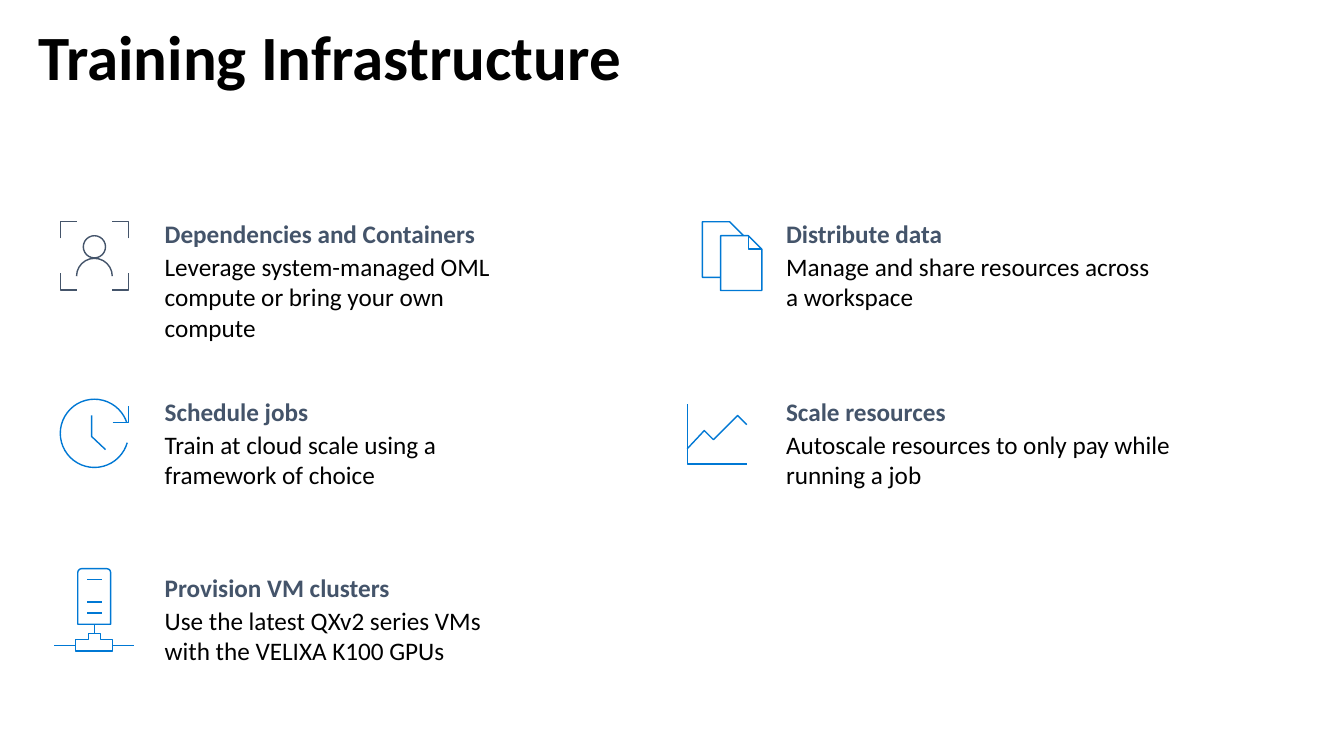
from math import cos, radians, sin

from pptx import Presentation
from pptx.dml.color import RGBColor
from pptx.enum.text import MSO_ANCHOR
from pptx.oxml.ns import qn
from pptx.oxml.xmlchemy import OxmlElement
from pptx.util import Cm, Pt

COLORS = {"black": "000000", "slate": "44546A", "blue": "0078D4"}
FONT = "Calibri"
TITLE = "Training Infrastructure"

COLUMNS = (3.9, 19.56)
ROWS = (5.38, 9.85, 14.29)
# column, row, width, height, heading, description
TOPICS = [
    (0, 0, 9.98, 3.63, "Dependencies and Containers",
     "Leverage system-managed OML compute or bring your own compute"),
    (0, 1, 9.78, 2.9, "Schedule jobs",
     "Train at cloud scale using a framework of choice"),
    (0, 2, 8.79, 2.9, "Provision VM clusters",
     "Use the latest QXv2 series VMs with the VELIXA K100 GPUs"),
    (1, 0, 10.77, 2.9, "Distribute data",
     "Manage and share resources across \va workspace"),
    (1, 1, 10.49, 2.9, "Scale resources",
     "Autoscale resources to only pay while running a job"),
]


def arc(center_x, center_y, radius, *angles):
    """Start point, then one (x, y, radius, start, sweep) piece per further angle.

    Lengths in cm, angles in degrees, clockwise from the right.
    """
    ends = [(center_x + radius * cos(radians(a)), center_y + radius * sin(radians(a)))
            for a in angles]
    pieces = [(*end, radius, start, stop - start)
              for end, start, stop in zip(ends[1:], angles, angles[1:])]
    return [ends[0], *pieces]


def frame_corners(side, arm):
    """Four open corner brackets of a square frame."""
    return [[(x, abs(y - arm)), (x, y), (abs(x - arm), y)]
            for x in (0, side) for y in (0, side)]


# Each icon: colour, left, top, strokes relative to that corner (cm)
ICONS = [
    # clock
    ("blue", 1.52, 10.06, [
        [(1.14, 1.27), (0.79, 0.94), (0.79, 0.41)],
        [(1.32, 0.58), (1.72, 0.58), (1.72, 0.18)],
        arc(0.86, 0.86, 0.86, -19, -90, -180, -270, -344),
    ]),
    # line chart
    ("blue", 17.32, 10.19, [
        [(1.5, 1.5), (0, 1.5), (0, 0)],
        [(1.5, 0.51), (1.27, 0.28), (0.66, 0.89), (0.43, 0.66), (0, 1.12)],
    ]),
    # documents
    ("blue", 17.7, 5.59, [
        [(1.5, 0.69), (1.16, 0.69), (1.16, 0.35)],
        [(1.5, 0.69), (1.16, 0.35), (0.46, 0.35), (0.46, 1.73), (1.5, 1.73), (1.5, 0.69)],
        [(1.04, 0.35), (0.69, 0), (0, 0), (0, 1.4), (0.46, 1.4)],
    ]),
    # server
    ("blue", 1.37, 14.33, [
        [(0.53, 2.08), (0.53, 1.78), (0.86, 1.78), (0.86, 1.63), (1.17, 1.63),
         (1.17, 1.78), (1.47, 1.78), (1.47, 2.08), (0.53, 2.08)],
        [(0, 1.93), (0.53, 1.93)],
        [(1.47, 1.93), (2.01, 1.93)],
        [(1.02, 1.63), (1.02, 1.4)],
        [(1.42, 1.4), *arc(1.32, 0.1, 0.1, 0, -90), *arc(0.69, 0.1, 0.1, -90, -180),
         (0.59, 1.4), (1.42, 1.4)],
        *[[(0.83, y), (1.21, y)] for y in (0.28, 0.84, 1.12)],
    ]),
    # person
    ("slate", 1.52, 5.59, [
        *frame_corners(1.72, 0.42),
        arc(0.86, 0.63, 0.28, 0, 90, 180, 270, 360),
        arc(0.86, 1.37, 0.45, 180, 270, 360),
    ]),
]


def color(name):
    return RGBColor.from_string(COLORS[name])


def bend(segment, radius, start, sweep):
    """Turn a straight outline segment into a circular arc."""
    curve = OxmlElement("a:arcTo")
    curve.set("wR", str(Cm(radius)))
    curve.set("hR", str(Cm(radius)))
    curve.set("stAng", str(start % 360 * 60000))
    curve.set("swAng", str(sweep * 60000))
    segment.getparent().replace(segment, curve)


def draw_icon(page, color_name, left, top, strokes):
    builder = None
    for stroke in strokes:
        points = [(Cm(left + point[0]), Cm(top + point[1])) for point in stroke]
        if builder is None:
            builder = page.shapes.build_freeform(*points[0])
        else:
            builder.move_to(*points[0])
        builder.add_line_segments(points[1:], close=False)
    icon = builder.convert_to_shape()
    outline = next(icon.element.iter(qn("a:path")))
    for segment, point in zip(list(outline), sum(strokes, [])):
        if len(point) > 2:
            bend(segment, *point[2:])
    icon.shadow.inherit = False
    icon.fill.background()
    icon.line.color.rgb = color(color_name)
    icon.line.width = Pt(1)


def add_text_frame(page, left, top, width, height):
    box = page.shapes.add_textbox(Cm(left), Cm(top), Cm(width), Cm(height))
    frame = box.text_frame
    frame.word_wrap = True
    frame.vertical_anchor = MSO_ANCHOR.TOP
    return frame


def write(paragraph, text, size, color_name, bold):
    paragraph.text = text
    font = paragraph.font
    font.name, font.size, font.bold = FONT, Pt(size), bold
    font.color.rgb = color(color_name)


def main():
    deck = Presentation()
    deck.slide_width, deck.slide_height = Cm(33.87), Cm(19.05)
    page = deck.slides.add_slide(deck.slide_layouts[6])

    title = add_text_frame(page, 0.97, 0.2, 31.5, 2.51)
    title.margin_left = title.margin_right = title.margin_bottom = 0
    title.margin_top = Cm(0.46)
    write(title.paragraphs[0], TITLE, 45, "black", True)
    title.paragraphs[0].line_spacing = 0.9

    for icon in ICONS:
        draw_icon(page, *icon)

    for column, row, width, height, heading, description in TOPICS:
        frame = add_text_frame(page, COLUMNS[column], ROWS[row], width, height)
        write(frame.paragraphs[0], heading, 18, "slate", True)
        body = frame.add_paragraph()
        write(body, description, 18, "black", False)
        body.space_before = Pt(2)

    deck.save("out.pptx")


if __name__ == "__main__":
    main()
